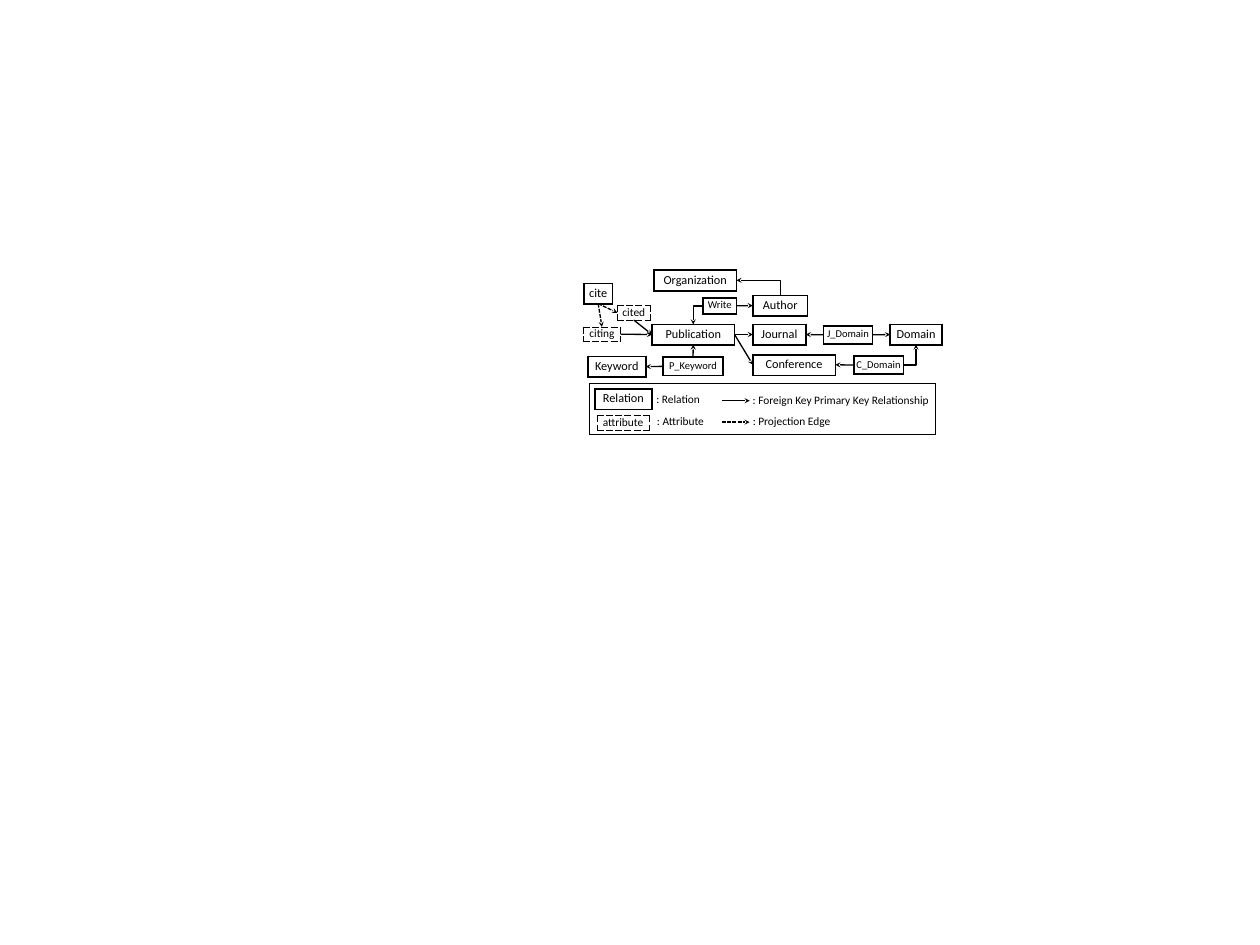
from lxml.etree import SubElement
from pptx import Presentation
from pptx.dml.color import RGBColor
from pptx.enum.dml import MSO_LINE
from pptx.enum.shapes import MSO_CONNECTOR as CONN
from pptx.enum.text import MSO_ANCHOR, MSO_AUTO_SIZE, PP_ALIGN
from pptx.oxml import parse_xml
from pptx.oxml.ns import nsdecls, qn
from pptx.util import Cm, Pt

BLACK = RGBColor(0, 0, 0)
FONT = "Calibri"

# Content: positions and sizes are in inches, turned into Cm by inch()
# Box kind: (font size, border width, dash, side margin, top margin)
KINDS = {
    "relation": (14, 2.25, "solid", 0.07, 0.07),
    "link": (12, 2.25, "solid", 0, 0),
    "attribute": (13, 1, "sysDash", 0.07, 0.03),
    "frame": (13, 0.75, "solid", 0.1, 0.05),
}
# Text: (kind, left, top, width, height)
BOXES = {
    "Publication": ("relation", 10.35, 5.15, 1.31, 0.32),
    "Keyword": ("relation", 9.33, 5.66, 0.92, 0.32),
    "P_Keyword": ("link", 10.52, 5.67, 0.96, 0.29),
    "cite": ("relation", 9.27, 4.5, 0.45, 0.32),
    "citing": ("attribute", 9.26, 5.19, 0.59, 0.23),
    "cited": ("attribute", 9.8, 4.85, 0.52, 0.23),
    "Organization": ("relation", 10.38, 4.29, 1.31, 0.32),
    "Write": ("link", 11.16, 4.73, 0.53, 0.25),
    "Author": ("relation", 11.95, 4.69, 0.87, 0.32),
    "Conference": ("relation", 11.95, 5.63, 1.31, 0.32),
    "J_Domain": ("link", 13.07, 5.17, 0.78, 0.29),
    "Journal": ("relation", 11.95, 5.15, 0.84, 0.32),
    "C_Domain": ("link", 13.55, 5.65, 0.79, 0.29),
    "Domain": ("relation", 14.13, 5.15, 0.82, 0.32),
    "Relation": ("relation", 9.44, 6.17, 0.91, 0.32),
    "attribute": ("attribute", 9.48, 6.6, 0.82, 0.23),
    "": ("frame", 9.35, 6.09, 5.49, 0.81),
}
# (source, side, target, side)
FOREIGN_KEYS = [
    ("P_Keyword", "left", "Keyword", "right"),
    ("P_Keyword", "top", "Publication", "bottom"),
    ("citing", "right", "Publication", "left"),
    ("cited", "bottom", "Publication", "left"),
    ("Write", "right", "Author", "left"),
    ("J_Domain", "left", "Journal", "right"),
    ("J_Domain", "right", "Domain", "left"),
    ("Publication", "right", "Journal", "left"),
    ("Publication", "right", "Conference", "left"),
    ("C_Domain", "left", "Conference", "right"),
]
BENT_KEYS = [
    ("Author", "top", "Organization", "right"),
    ("Write", "left", "Publication", "top"),
    ("C_Domain", "right", "Domain", "bottom"),
]
PROJECTIONS = [
    ("cite", "bottom", "cited", "left"),
    ("cite", "bottom", "citing", "top"),
]
# Text: (left, top, width)
LEGEND = {
    ": Relation": (10.32, 6.17, 1.22),
    ": Attribute": (10.33, 6.53, 1.39),
    ": Foreign Key Primary Key Relationship": (11.85, 6.19, 3.94),
    ": Projection Edge": (11.85, 6.52, 2.39),
}
LEGEND_ARROWS = [(6.36, False), (6.7, True)]  # (y, dashed)


def inch(*values):
    return [Cm(2.54 * v) for v in values]


def style(p, size):
    for r in p.runs:
        r.font.size, r.font.name = Pt(size), FONT
        r.font.color.rgb = BLACK


def add_box(text, kind, *place):
    size, width, dash, mx, my = KINDS[kind]
    table = s.shapes.add_table(1, 1, *inch(*place)).table
    table.first_row = table.horz_banding = False
    cell = table.cell(0, 0)
    cell.fill.background()
    cell.vertical_anchor = MSO_ANCHOR.MIDDLE
    cell.margin_left, cell.margin_right, cell.margin_top, cell.margin_bottom = inch(mx, mx, my, my)
    if text:
        p = cell.text_frame.paragraphs[0]
        p.text, p.alignment, p.line_spacing = text, PP_ALIGN.CENTER, 0.8
        style(p, size)
    tcPr = cell._tc.get_or_add_tcPr()
    for i, side in enumerate("LRTB"):
        tcPr.insert(i, parse_xml(
            f'<a:ln{side} {nsdecls("a")} w="{Pt(width)}"><a:solidFill>'
            f'<a:srgbClr val="{BLACK}"/></a:solidFill><a:prstDash val="{dash}"/></a:ln{side}>'))


def anchor(name, side):
    _, x, y, w, h = BOXES[name]
    fx, fy = {"left": (0, 0.5), "right": (1, 0.5), "top": (0.5, 0), "bottom": (0.5, 1)}[side]
    return x + w * fx, y + h * fy


def add_arrow(start, end, dashed=False, kind=CONN.STRAIGHT):
    c = s.shapes.add_connector(kind, *inch(*start, *end))
    c.line.color.rgb, c.line.width = BLACK, Pt(1.5)
    if dashed:
        c.line.dash_style = MSO_LINE.SQUARE_DOT
    SubElement(c.line._get_or_add_ln(), qn("a:tailEnd"), type="stealth")
    spPr = c._element.spPr
    SubElement(spPr, qn("a:effectLst"))
    return spPr


def add_bent(start, end, upward):
    # A path that leaves upward is a sideways one turned by 270 degrees
    if upward:
        (x1, y1), (x2, y2) = start, end
        cx, cy = (x1 + x2) / 2, (y1 + y2) / 2
        dx, dy = abs(y2 - y1) / 2, abs(x2 - x1) / 2
        start, end = (cx - dx, cy + dy), (cx + dx, cy - dy)
    spPr = add_arrow(start, end, kind=CONN.ELBOW)
    spPr.find(qn("a:prstGeom")).set("prst", "bentConnector2")
    if upward:
        spPr.find(qn("a:xfrm")).set("rot", str(270 * 60000))


prs = Presentation()
prs.slide_width, prs.slide_height = inch(20, 15)
s = prs.slides.add_slide(prs.slide_layouts[6])

# Relations, attributes and the legend frame
for text, box in BOXES.items():
    add_box(text, *box)

# Edges of the schema
for edges, dashed in ((FOREIGN_KEYS, False), (PROJECTIONS, True)):
    for source, side, target, target_side in edges:
        add_arrow(anchor(source, side), anchor(target, target_side), dashed)
for source, side, target, target_side in BENT_KEYS:
    add_bent(anchor(source, side), anchor(target, target_side), side == "top")

# Legend
for y, dashed in LEGEND_ARROWS:
    add_arrow((11.46, y), (11.9, y), dashed)
for text, (x, y, w) in LEGEND.items():
    tf = s.shapes.add_textbox(*inch(x, y, w, 0.32)).text_frame
    tf.word_wrap, tf.auto_size = True, MSO_AUTO_SIZE.SHAPE_TO_FIT_TEXT
    tf.text = text
    style(tf.paragraphs[0], 13)

prs.save("out.pptx")
